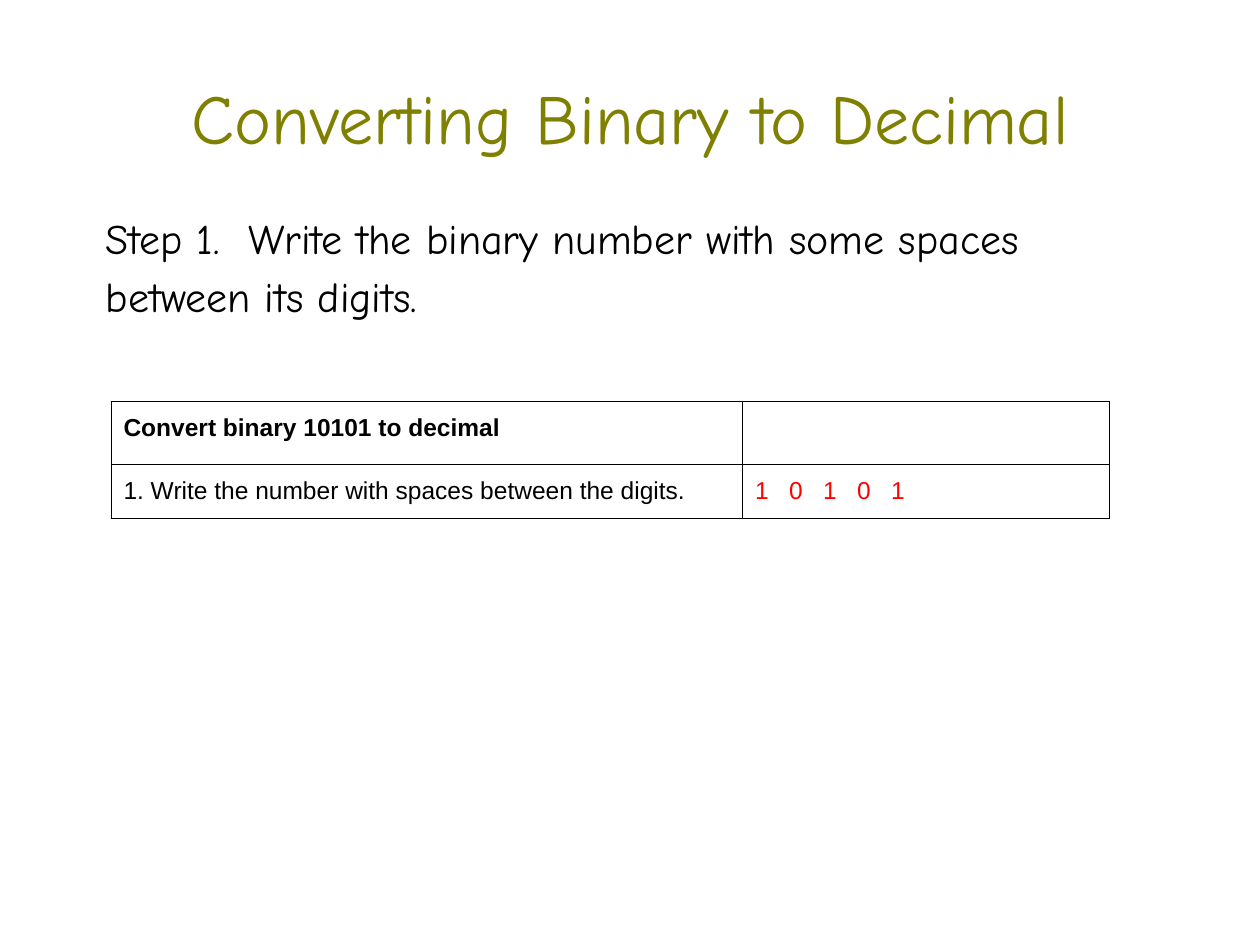
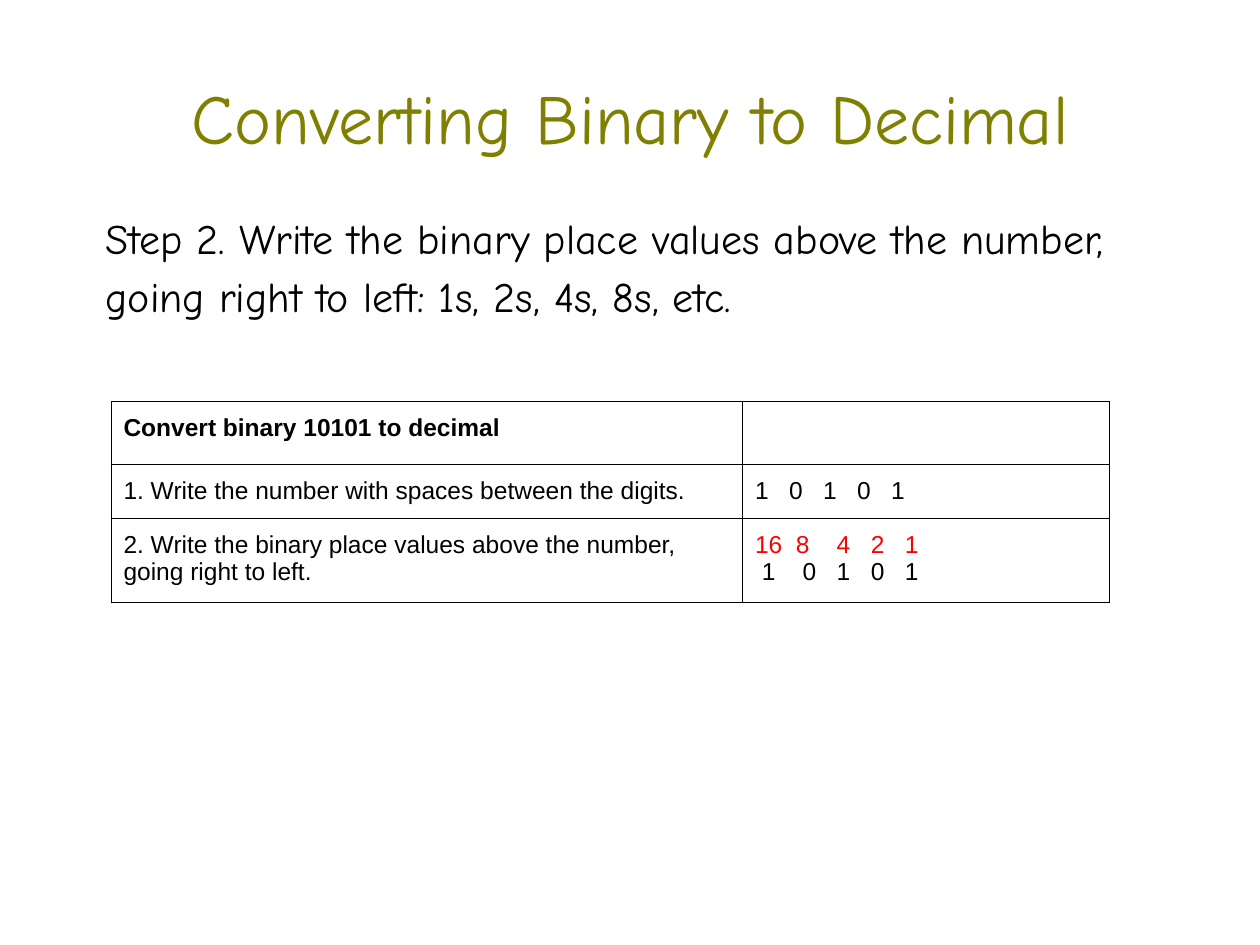
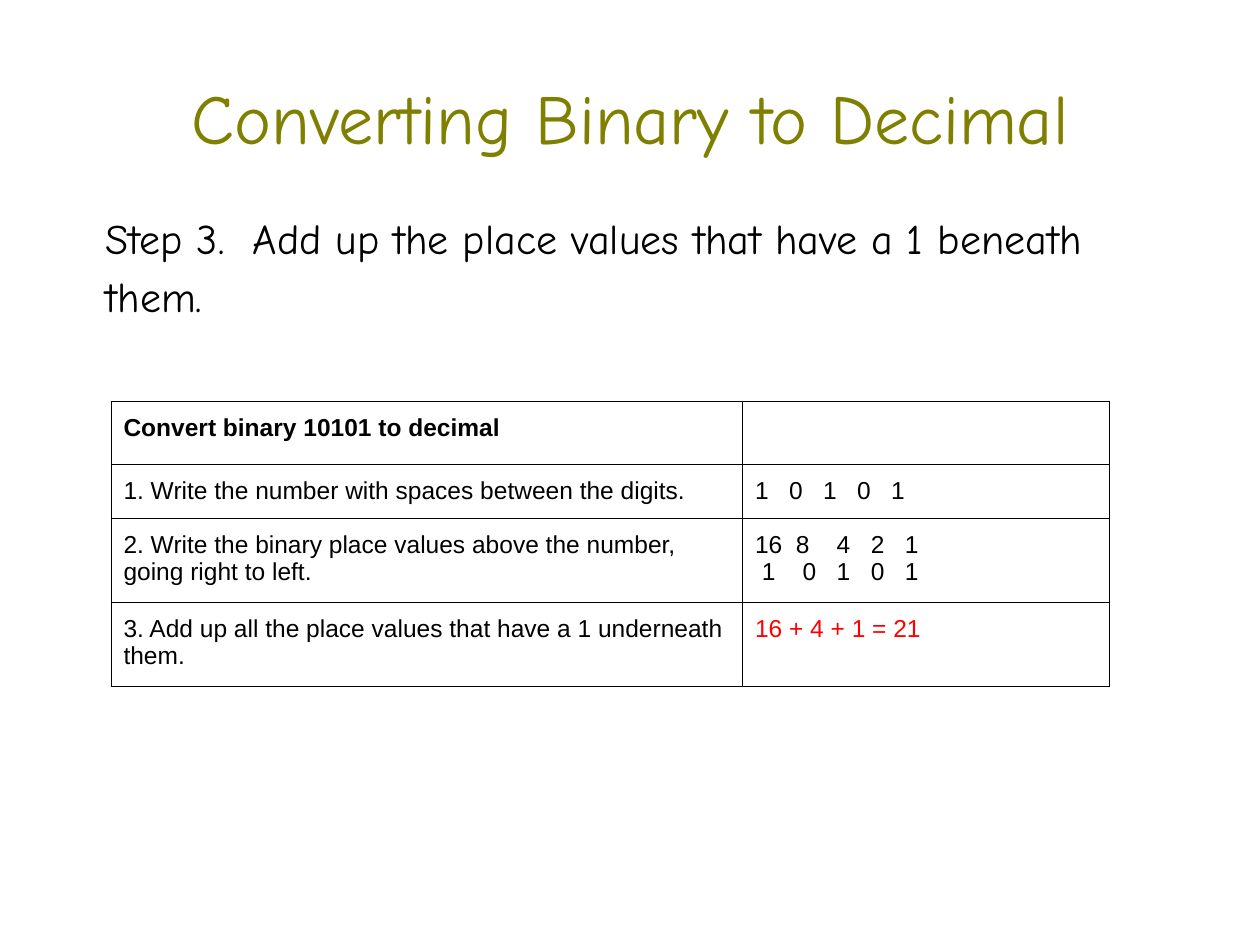
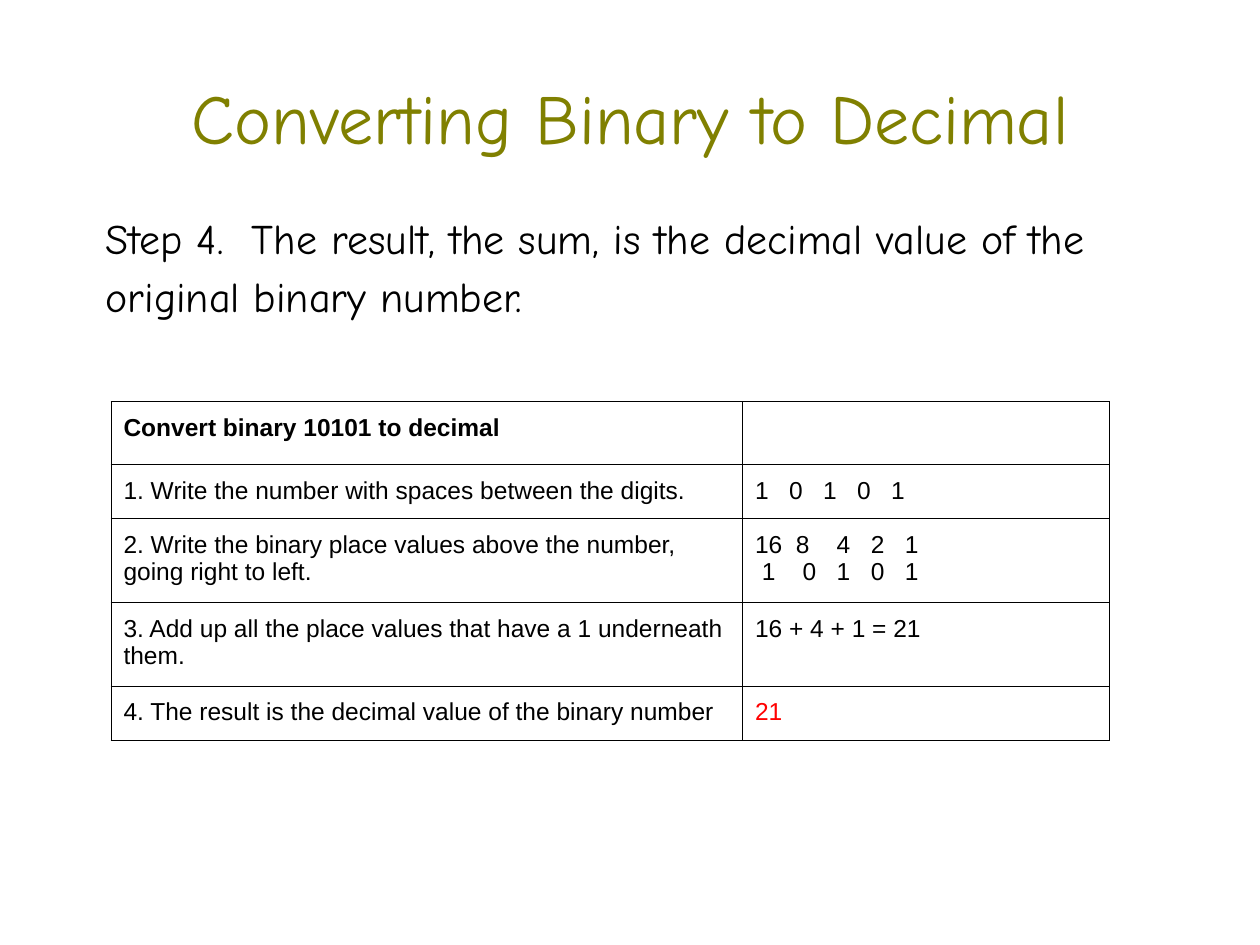
from dataclasses import dataclass

from lxml import etree
from pptx import Presentation
from pptx.dml.color import RGBColor
from pptx.enum.text import MSO_ANCHOR, PP_ALIGN
from pptx.oxml.ns import qn
from pptx.util import Cm, Pt

MIDDLE, TOP = MSO_ANCHOR.MIDDLE, MSO_ANCHOR.TOP
CENTER, LEFT = PP_ALIGN.CENTER, PP_ALIGN.LEFT

TITLE = "Converting Binary to Decimal"
TABLE_HEADING = "Convert binary 10101 to decimal"

STEPS = [
    {
        "lead": "Step 1.  Write the binary number with some spaces between its digits.",
        "task": "1. Write the number with spaces between the digits.",
        "working": ["1   0   1   0   1"],
    },
    {
        "lead": "Step 2. Write the binary place values above the number, "
                "going right to left: 1s, 2s, 4s, 8s, etc.",
        "task": "2. Write the binary place values above the number, going right to left.",
        "working": ["16  8    4   2   1", " 1    0   1   0   1"],
    },
    {
        "lead": "Step 3.  Add up the place values that have a 1 beneath them.",
        "task": "3. Add up all the place values that have a 1 underneath them.",
        "working": ["16 + 4 + 1 = 21"],
    },
    {
        "lead": "Step 4.  The result, the sum, is the decimal value of the original binary number.",
        "task": "4. The result is the decimal value of the binary number",
        "working": ["21"],
    },
]


@dataclass(frozen=True)
class Theme:
    olive: str = "808000"
    black: str = "000000"
    red: str = "FF0000"
    display_font: str = "Comic Neue"
    table_font: str = "Arial"
    title_size: float = 40
    lead_size: float = 24
    table_size: float = 14
    lead_spacing: float = 1.15
    border_width: float = 0.75


THEME = Theme()

SLIDE_SIZE = (Cm(25.4), Cm(19.05))
TITLE_AREA = (Cm(1.9), Cm(1.07), Cm(21.6), Cm(2.54))
LEAD_AREA = (Cm(1.88), Cm(4.01), Cm(21.54), Cm(3))
TABLE_ORIGIN = (Cm(2.24), Cm(8.1))
COLUMN_WIDTHS = (Cm(12.73), Cm(7.39))
ROW_HEIGHT = Cm(1.07)
CELL_MARGIN = Cm(0.25)


def add_span(para, text, font, size, color, bold=False):
    span = para.add_run()
    span.text = text
    span.font.name = font
    span.font.size = Pt(size)
    span.font.bold = bold
    span.font.color.rgb = RGBColor.from_string(color)


def add_text(page, area, text, size, color, anchor=TOP, align=LEFT, spacing=1.0):
    frame = page.shapes.add_textbox(*area).text_frame
    frame.word_wrap = True
    frame.vertical_anchor = anchor
    para = frame.paragraphs[0]
    para.alignment = align
    para.line_spacing = spacing
    add_span(para, text, THEME.display_font, size, color)


def style_cell(cell):
    cell.margin_left = cell.margin_right = CELL_MARGIN
    cell.margin_top = cell.margin_bottom = CELL_MARGIN
    cell.fill.background()
    properties = cell._tc.get_or_add_tcPr()
    for position, side in enumerate(("lnL", "lnR", "lnT", "lnB")):
        line = etree.Element(qn(f"a:{side}"), w=str(Pt(THEME.border_width)))
        fill = etree.SubElement(line, qn("a:solidFill"))
        etree.SubElement(fill, qn("a:srgbClr"), val=THEME.black)
        properties.insert(position, line)


def fill_cell(cell, lines, first_color=THEME.black, bold=False):
    style_cell(cell)
    for index, text in enumerate(lines):
        para = cell.text_frame.paragraphs[0] if index == 0 else cell.text_frame.add_paragraph()
        color = first_color if index == 0 else THEME.black
        add_span(para, text, THEME.table_font, THEME.table_size, color, bold)


def add_steps_table(page, steps):
    row_count = len(steps) + 1
    table = page.shapes.add_table(
        row_count, len(COLUMN_WIDTHS), *TABLE_ORIGIN,
        sum(COLUMN_WIDTHS), ROW_HEIGHT * row_count,
    ).table
    table.first_row = False
    table.horz_banding = False
    for column, width in zip(table.columns, COLUMN_WIDTHS):
        column.width = width
    fill_cell(table.cell(0, 0), [TABLE_HEADING], bold=True)
    fill_cell(table.cell(0, 1), [])
    for row, step in enumerate(steps, start=1):
        newest = row == len(steps)
        fill_cell(table.cell(row, 0), [step["task"]])
        fill_cell(table.cell(row, 1), step["working"], THEME.red if newest else THEME.black)


def main():
    deck = Presentation()
    deck.slide_width, deck.slide_height = SLIDE_SIZE
    blank = deck.slide_layouts[6]
    for number, step in enumerate(STEPS, start=1):
        page = deck.slides.add_slide(blank)
        add_text(page, TITLE_AREA, TITLE, THEME.title_size, THEME.olive, MIDDLE, CENTER)
        add_text(page, LEAD_AREA, step["lead"], THEME.lead_size, THEME.black,
                 spacing=THEME.lead_spacing)
        add_steps_table(page, STEPS[:number])
    deck.save("out.pptx")


if __name__ == "__main__":
    main()
